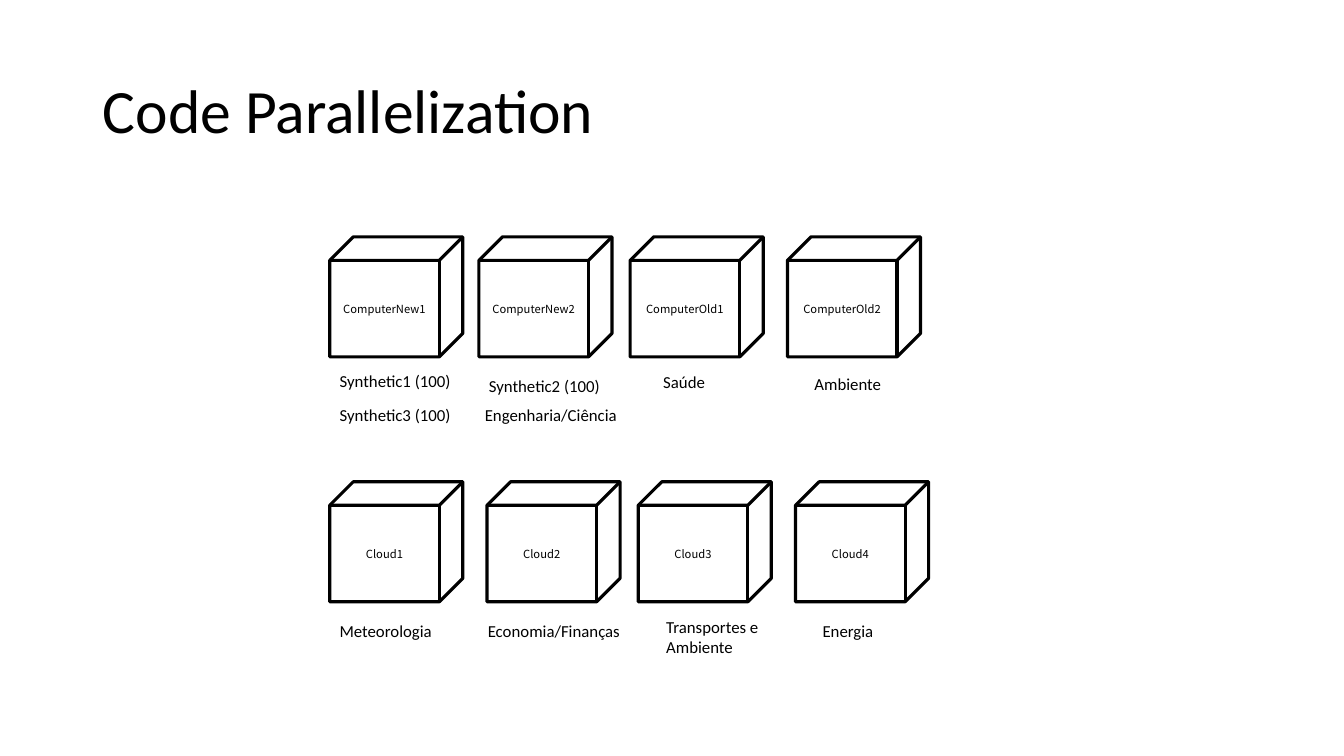
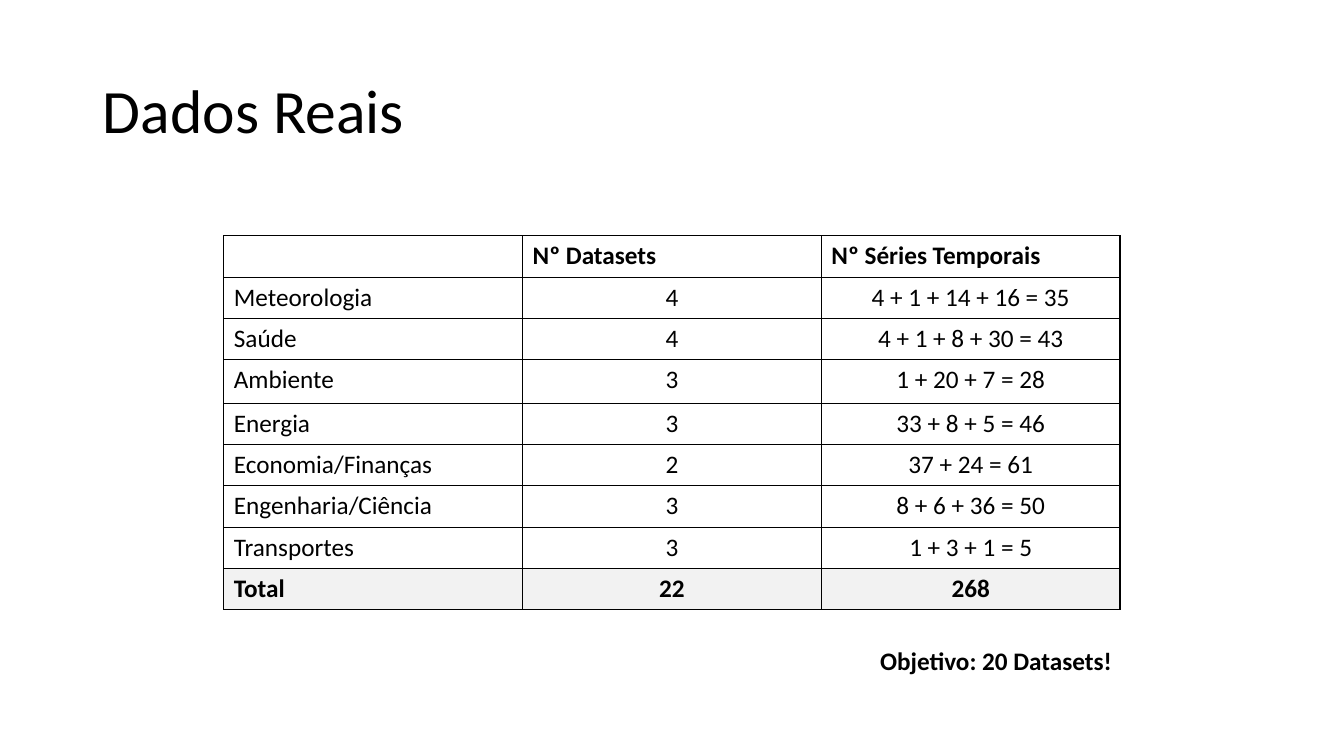
from lxml.etree import SubElement
from pptx import Presentation
from pptx.dml.color import RGBColor
from pptx.enum.shapes import MSO_SHAPE
from pptx.enum.text import MSO_ANCHOR, MSO_AUTO_SIZE, PP_ALIGN
from pptx.oxml.ns import qn
from pptx.util import Inches, Pt

COLORS = {"ink": "000000", "total": "F2F2F2"}
BODY_FONT, CUBE_FONT = "Calibri", "Noto Sans CJK TC"
TITLE_BOX = (0.92, 0.4, 11.5, 1.45)

CUBE_SIZE = (1.32, 1.19)
MACHINE_ROWS = [
    (2.35, [
        ("ComputerNew1", 3.27, [("Synthetic1 (100)", 3.27, 3.63, 1.39),
                                ("Synthetic3 (100)", 3.27, 3.97, 1.32)]),
        ("ComputerNew2", 4.75, [("Synthetic2 (100)", 4.75, 3.68, 1.32),
                                ("Engenharia/Ciência", 4.71, 3.97, 1.77)]),
        ("ComputerOld1", 6.25, [("Saúde", 6.48, 3.64, 1.16)]),
        ("ComputerOld2", 7.81, [("Ambiente", 7.98, 3.66, 1.16)]),
    ]),
    (4.78, [
        ("Cloud1", 3.27, [("Meteorologia", 3.27, 6.11, 1.16)]),
        ("Cloud2", 4.83, [("Economia/Finanças", 4.74, 6.11, 1.77)]),
        ("Cloud3", 6.33, [("Transportes e Ambiente", 6.51, 6.07, 1.24)]),
        ("Cloud4", 7.89, [("Energia", 8.06, 6.11, 1.16)]),
    ]),
]

DATASETS = [
    ("", "Nº Datasets", "Nº Séries Temporais"),
    ("Meteorologia", "4", "4 + 1 + 14 + 16 = 35"),
    ("Saúde", "4", "4 + 1 + 8 + 30 = 43"),
    ("Ambiente", "3", "1 + 20 + 7 = 28"),
    ("Energia", "3", "33 + 8 + 5 = 46"),
    ("Economia/Finanças", "2", "37 + 24 = 61"),
    ("Engenharia/Ciência", "3", "8 + 6 + 36 = 50"),
    ("Transportes", "3", "1 + 3 + 1 = 5"),
    ("Total", "22", "268"),
]
ROW_HEIGHT, TALL_ROW, TALL_HEIGHT = 0.41, "Ambiente", 0.43
TABLE_BOX = (2.22, 2.34, 8.89, 3.68)
GOAL = ("Objetivo: 20 Datasets!", 8.63, 6.35, 2.52)


def inches(values):
    """Convert a sequence of inches to lengths."""
    return [Inches(value) for value in values]


def color(key):
    """Look up a palette colour."""
    return RGBColor.from_string(COLORS[key])


def write(frame, text, size, font=BODY_FONT, align=PP_ALIGN.LEFT, bold=False):
    """Write one formatted paragraph and return it."""
    frame.text = text
    paragraph = frame.paragraphs[0]
    paragraph.alignment = align
    paragraph.font.name = font
    paragraph.font.size = Pt(size)
    paragraph.font.bold = bold
    paragraph.font.color.rgb = color("ink")
    return paragraph


def add_titled_slide(deck, title):
    """Add a slide with the shared title style."""
    slide = deck.slides.add_slide(deck.slide_layouts[5])
    heading = slide.shapes.title
    heading.left, heading.top, heading.width, heading.height = inches(TITLE_BOX)
    write(heading.text_frame, title, 44).line_spacing = 0.9
    heading.text_frame.vertical_anchor = MSO_ANCHOR.MIDDLE
    heading.text_frame.auto_size = MSO_AUTO_SIZE.NONE
    return slide


def add_label(slide, text, left, top, width, size=12, bold=False, wrap=True):
    """Add a text box that grows with its text."""
    height = 0.3 if size == 12 else 0.4
    frame = slide.shapes.add_textbox(*inches((left, top, width, height))).text_frame
    frame.word_wrap = wrap
    frame.auto_size = MSO_AUTO_SIZE.SHAPE_TO_FIT_TEXT
    write(frame, text, size, bold=bold)


def add_machine(slide, name, left, top):
    """Draw a computer as an outlined cube."""
    cube = slide.shapes.add_shape(MSO_SHAPE.CUBE, *inches((left, top, *CUBE_SIZE)))
    cube.adjustments[0] = 0.196
    cube.shadow.inherit = False
    cube.fill.background()
    cube.line.color.rgb = color("ink")
    cube.line.width = Pt(2.25)
    write(cube.text_frame, name, 8, CUBE_FONT, PP_ALIGN.CENTER)
    cube.text_frame.vertical_anchor = MSO_ANCHOR.MIDDLE


def set_borders(cell):
    """Draw a thin line on each side of a cell."""
    properties = cell._tc.get_or_add_tcPr()
    for position, side in enumerate(("lnL", "lnR", "lnT", "lnB")):
        border = SubElement(properties, qn(f"a:{side}"), w=str(Pt(1)))
        properties.insert(position, border)
        fill = SubElement(border, qn("a:solidFill"))
        SubElement(fill, qn("a:srgbClr"), val=COLORS["ink"])


def add_dataset_table(slide):
    """Add the table of datasets and time series."""
    columns = len(DATASETS[0])
    table = slide.shapes.add_table(len(DATASETS), columns, *inches(TABLE_BOX)).table
    table.first_row = table.horz_banding = False
    for column in table.columns:
        column.width = Inches(TABLE_BOX[2] / columns)
    for row, record in enumerate(DATASETS):
        header, total = row == 0, row == len(DATASETS) - 1
        table.rows[row].height = Inches(TALL_HEIGHT if record[0] == TALL_ROW else ROW_HEIGHT)
        for column, text in enumerate(record):
            cell = table.cell(row, column)
            align = PP_ALIGN.CENTER if column and not header else PP_ALIGN.LEFT
            write(cell.text_frame, text, 18, align=align, bold=header or total)
            if total:
                cell.fill.solid()
                cell.fill.fore_color.rgb = color("total")
            else:
                cell.fill.background()
            set_borders(cell)


def main():
    """Build both slides and save the deck."""
    deck = Presentation()
    deck.slide_width, deck.slide_height = inches((13.33, 7.5))

    parallelization = add_titled_slide(deck, "Code Parallelization")
    for top, machines in MACHINE_ROWS:
        for name, left, workloads in machines:
            add_machine(parallelization, name, left, top)
            for workload in workloads:
                add_label(parallelization, *workload)

    real_data = add_titled_slide(deck, "Dados Reais")
    add_dataset_table(real_data)
    add_label(real_data, *GOAL, size=18, bold=True, wrap=False)

    deck.save("out.pptx")


if __name__ == "__main__":
    main()
